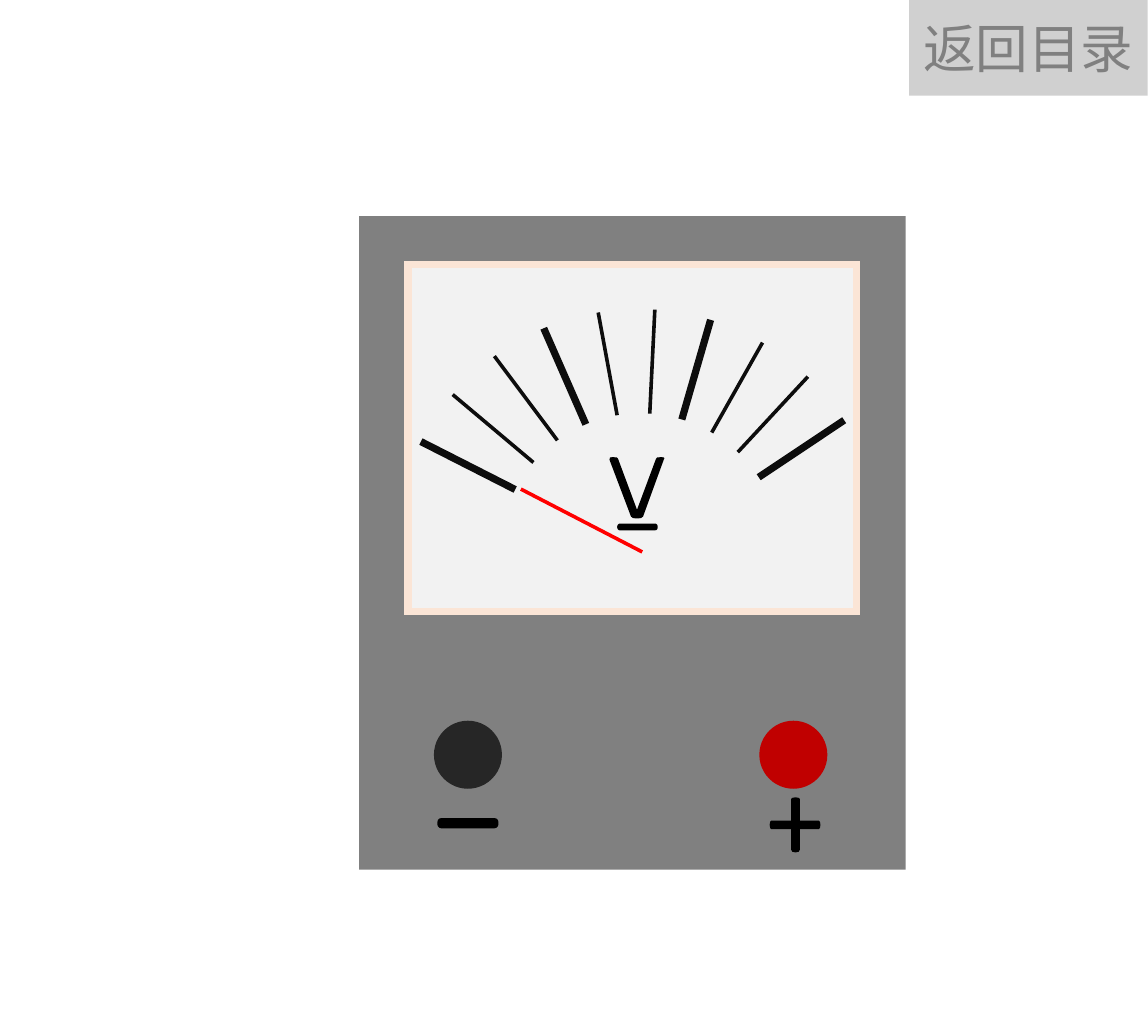
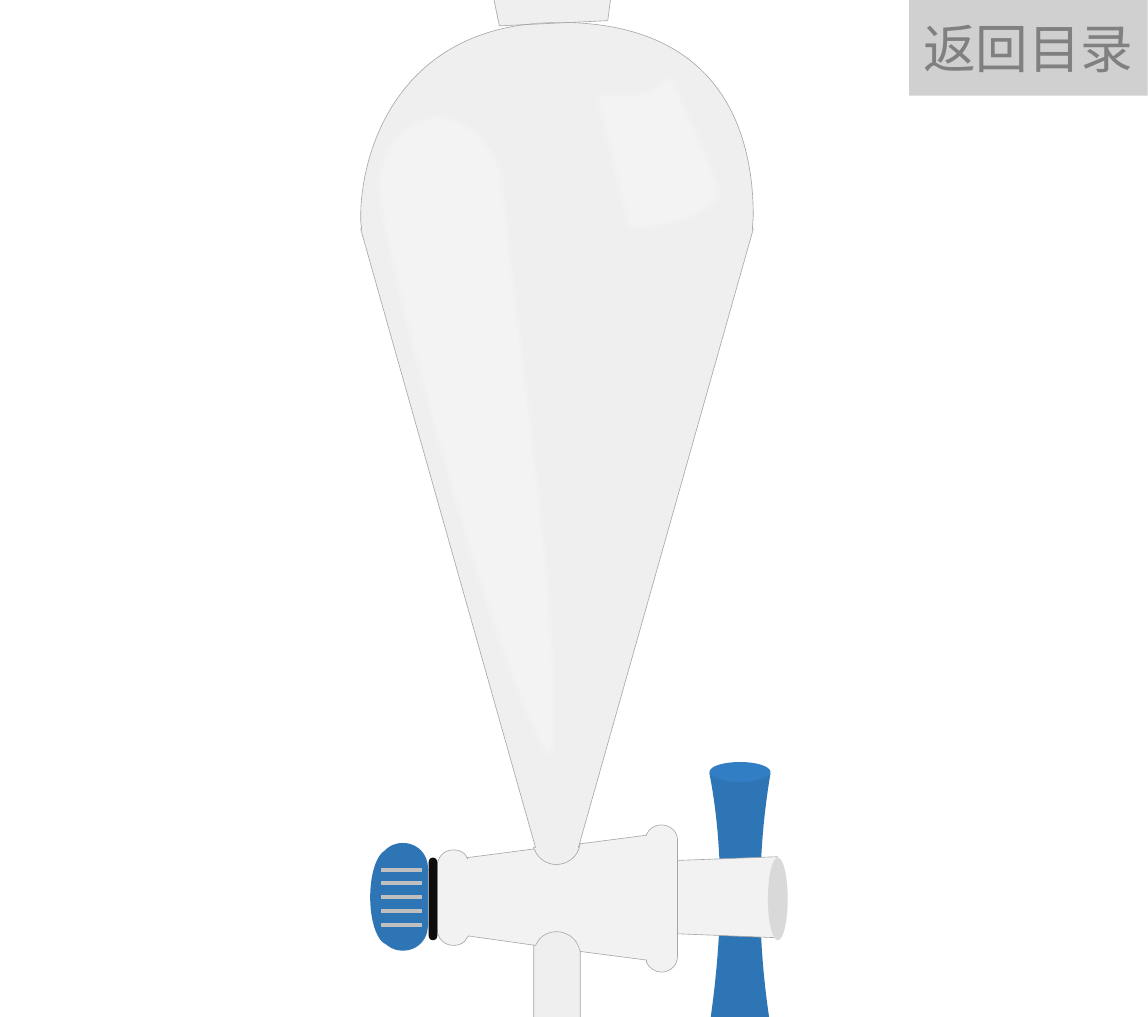
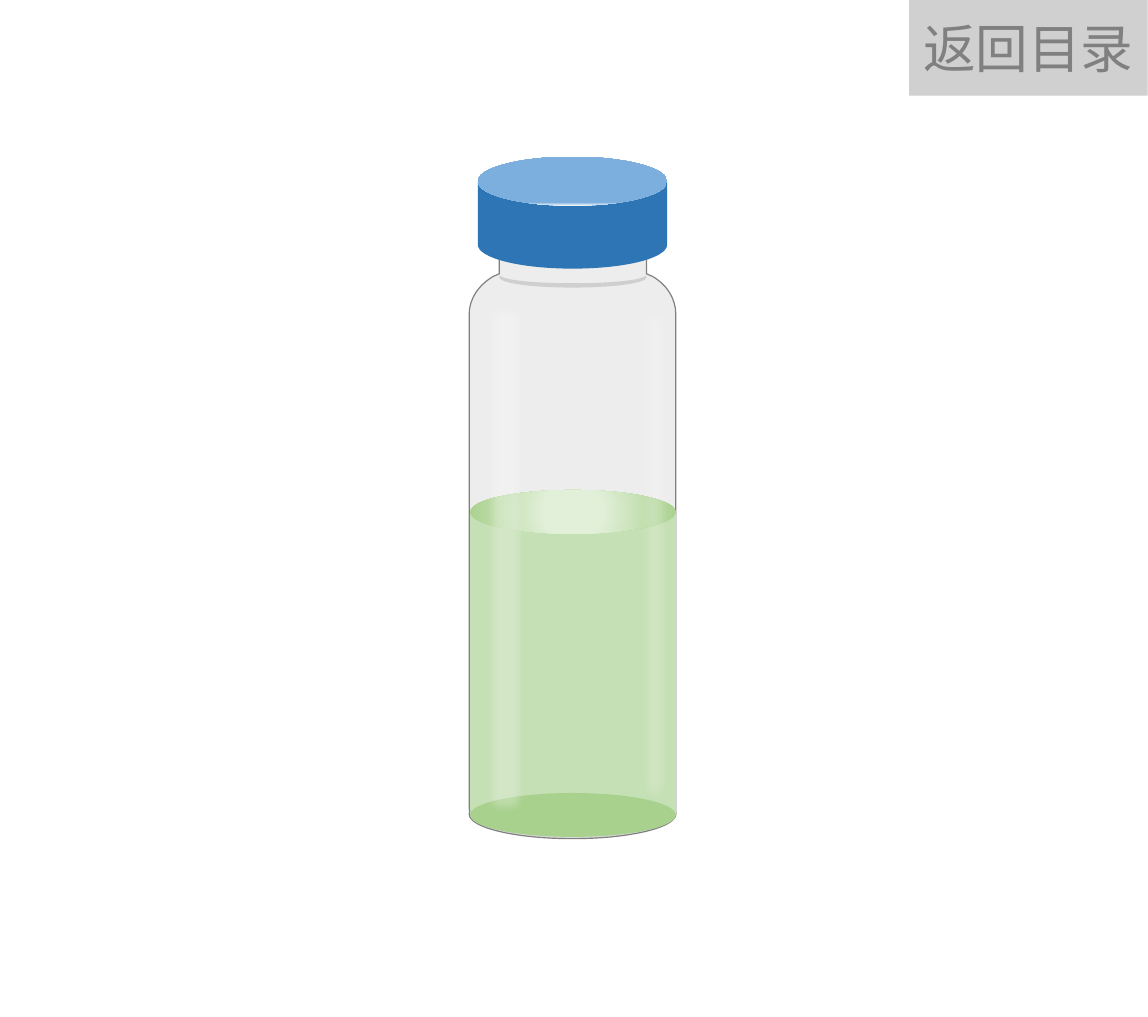
from dataclasses import dataclass
from math import cos, radians, sin
from typing import Iterator, Optional

from lxml import etree
from pptx import Presentation
from pptx import util as u
from pptx.dml.color import RGBColor
from pptx.enum import shapes, text
from pptx.oxml.ns import qn

UNIT_CM = 2.54  # one drawing unit

WHITE, BLACK, INK = "FFFFFF", "000000", "0D0D0D"
GLASS, EDGE, JOINT = "D9D9D9", "A6A6A6", "F2F2F2"
GREY, SILVER = "808080", "BFBFBF"
BLUE, RED = "2E75B6", "FF0000"

RECT = shapes.MSO_SHAPE.RECTANGLE
ROUND = shapes.MSO_SHAPE.ROUNDED_RECTANGLE
OVAL = shapes.MSO_SHAPE.OVAL

Point = tuple[int, int]


@dataclass(frozen=True)
class Style:
    fill: str
    opacity: int = 100
    line: Optional[str] = None
    width: float = 0.5
    soft_edge: float = 0  # points


@dataclass(frozen=True)
class Preset:
    kind: shapes.MSO_SHAPE
    left: float
    top: float
    width: float
    height: float
    style: Style
    corner: Optional[float] = None


@dataclass(frozen=True)
class Outline:
    """A closed outline: M and L take one point, C takes three."""
    commands: str
    style: Style


@dataclass(frozen=True)
class Stroke:
    start: tuple[float, float]
    end: tuple[float, float]
    color: str
    width: float


def length(value: float) -> u.Length:
    return u.Cm(value * UNIT_CM)


def rgb(color: str) -> RGBColor:
    return RGBColor.from_string(color)


# Formatting shared by every shape
def apply_style(shape, style: Style) -> None:
    shape.shadow.inherit = False
    shape.fill.solid()
    shape.fill.fore_color.rgb = rgb(style.fill)
    properties = shape.element.spPr
    if style.opacity < 100:
        color = properties.find(qn("a:solidFill"))[0]
        etree.SubElement(color, qn("a:alpha"), val=str(style.opacity * 1000))
    if style.line:
        shape.line.color.rgb = rgb(style.line)
        shape.line.width = u.Pt(style.width)
        etree.SubElement(properties.find(qn("a:ln")), qn("a:miter"), lim="800000")
    else:
        shape.line.fill.background()
    if style.soft_edge:
        effects = properties.find(qn("a:effectLst"))
        etree.SubElement(effects, qn("a:softEdge"), rad=str(u.Pt(style.soft_edge)))


def apply_gradient(shape, stops: list[tuple[float, str]], circular: bool = False) -> None:
    shape.fill.gradient()
    shape.fill.gradient_angle = 90
    for stop, (position, color) in zip(shape.fill.gradient_stops, stops):
        stop.position = position
        stop.color.rgb = rgb(color)
    if circular:
        gradient = shape.element.spPr.find(qn("a:gradFill"))
        linear = gradient.find(qn("a:lin"))
        circle = etree.Element(qn("a:path"), path="circle")
        etree.SubElement(circle, qn("a:fillToRect"),
                         {side: "50000" for side in "ltrb"})
        gradient.replace(linear, circle)


# Outlines with curves
def read_commands(commands: str) -> Iterator[tuple[str, list[Point]]]:
    tokens = iter(commands.split())
    for command in tokens:
        count = 3 if command == "C" else 1
        yield command, [(length(float(next(tokens))), length(float(next(tokens))))
                        for _ in range(count)]


def sample_points(segments: list[tuple[str, list[Point]]], steps: int = 16) -> list[Point]:
    """Points along the outline, from which its bounds follow."""
    points: list[Point] = []
    for command, target in segments:
        if command != "C":
            points += target
            continue
        controls = [points[-1], *target]
        for step in range(1, steps + 1):
            t = step / steps
            weights = ((1 - t) ** 3, 3 * t * (1 - t) ** 2, 3 * t * t * (1 - t), t ** 3)
            x, y = (round(sum(w * p[axis] for w, p in zip(weights, controls)))
                    for axis in (0, 1))
            points.append((x, y))
    return points


def add_outline(slide, part: Outline):
    segments = list(read_commands(part.commands))
    first, *rest = sample_points(segments)
    builder = slide.shapes.build_freeform(*first)
    builder.add_line_segments(rest, close=True)
    shape = builder.convert_to_shape()
    # Keep the bounds and write the segments as true lines and curves
    tags = {"M": "a:moveTo", "L": "a:lnTo", "C": "a:cubicBezTo"}
    contour = next(shape.element.spPr.iter(qn("a:path")))
    for child in list(contour):
        contour.remove(child)
    for command, target in segments:
        segment = etree.SubElement(contour, qn(tags[command]))
        for x, y in target:
            etree.SubElement(segment, qn("a:pt"),
                             x=str(x - shape.left), y=str(y - shape.top))
    etree.SubElement(contour, qn("a:close"))
    apply_style(shape, part.style)
    return shape


# Drawing functions
def add_preset(slide, part: Preset):
    box = (part.left, part.top, part.width, part.height)
    shape = slide.shapes.add_shape(part.kind, *map(length, box))
    if part.corner is not None:
        shape.adjustments[0] = part.corner
    apply_style(shape, part.style)
    return shape


def add_stroke(slide, part: Stroke):
    connector = slide.shapes.add_connector(
        shapes.MSO_CONNECTOR.STRAIGHT, *map(length, (*part.start, *part.end)))
    connector.line.color.rgb = rgb(part.color)
    connector.line.width = u.Pt(part.width)
    etree.SubElement(connector.element.spPr, qn("a:effectLst"))
    return connector


DRAW = {Preset: add_preset, Outline: add_outline, Stroke: add_stroke}


def draw(slide, *parts) -> list:
    return [DRAW[type(part)](slide, part) for part in parts]


def add_contents_button(slide) -> None:
    button = add_preset(slide, Preset(RECT, 10.56, 0, 2.77, 1.11, Style(SILVER, 73)))
    frame = button.text_frame
    frame.vertical_anchor = text.MSO_ANCHOR.MIDDLE
    paragraph = frame.paragraphs[0]
    paragraph.text = "返回目录"
    paragraph.alignment = text.PP_ALIGN.CENTER
    paragraph.font.name = "Calibri"
    paragraph.font.size = u.Pt(44)
    paragraph.font.color.rgb = rgb(GREY)


# Slide 1: voltmeter
def dial_ticks() -> list[Stroke]:
    center_y, first_angle, step, count = 6.44, 27.4, 13.27, 10

    def at(center_x: float, radius: float, angle: float) -> tuple[float, float]:
        return (center_x - radius * cos(angle), center_y - radius * sin(angle))

    ticks = []
    for index in range(count):
        angle = radians(first_angle + index * step)
        width = 6 if index % 3 == 0 else 3
        ticks.append(Stroke(at(7.42, 2.85, angle), at(7.44, 1.64, angle), INK, width))
    return ticks


def draw_voltmeter(slide) -> None:
    sign = Style(BLACK)
    draw(
        slide,
        # Case and dial
        Preset(RECT, 4.17, 2.51, 6.35, 7.59, Style(GREY)),
        Preset(RECT, 4.74, 3.07, 5.21, 4.03, Style(JOINT, line="FBE5D6", width=6)),
        *dial_ticks(),
        Stroke((6.05, 5.68), (7.46, 6.41), RED, 3),
        # Underlined V
        Outline("M 7.13 5.31 C 7.16 5.31 7.18 5.31 7.18 5.33 L 7.4 5.92 L 7.62 5.33 "
                "C 7.62 5.31 7.64 5.31 7.67 5.31 C 7.71 5.31 7.73 5.31 7.71 5.34 "
                "L 7.47 6 C 7.46 6.02 7.44 6.02 7.4 6.02 C 7.36 6.02 7.34 6.02 7.33 6 "
                "L 7.08 5.34 C 7.07 5.31 7.09 5.31 7.13 5.31", sign),
        Preset(ROUND, 7.17, 6.08, 0.47, 0.08, sign, 0.4),
        # Terminals with plus and minus
        Preset(OVAL, 5.04, 8.37, 0.79, 0.79, Style("262626")),
        Preset(OVAL, 8.82, 8.37, 0.79, 0.79, Style("C00000")),
        Outline("M 9.24 9.26 C 9.27 9.26 9.29 9.27 9.29 9.28 L 9.29 9.53 L 9.51 9.53 "
                "C 9.52 9.53 9.53 9.55 9.53 9.58 C 9.53 9.61 9.52 9.63 9.51 9.63 "
                "L 9.29 9.63 L 9.29 9.87 C 9.29 9.89 9.27 9.9 9.24 9.9 "
                "C 9.21 9.9 9.19 9.89 9.19 9.87 L 9.19 9.63 L 8.96 9.63 "
                "C 8.95 9.63 8.94 9.61 8.94 9.58 C 8.94 9.55 8.95 9.53 8.96 9.53 "
                "L 9.19 9.53 L 9.19 9.28 C 9.19 9.27 9.21 9.26 9.24 9.26", sign),
        Preset(ROUND, 5.08, 9.5, 0.71, 0.12, sign, 0.4),
    )


# Slide 2: separating funnel
def draw_funnel(slide) -> None:
    joint = Style(JOINT, line=EDGE)
    draw(
        slide,
        # Glass body and neck
        Preset(OVAL, 4.3, 9.87, 0.42, 1.1, Style(BLUE)),
        Outline("M 6.47 0.26 C 8.35 0.25 8.75 1.5 8.75 2.51 L 8.74 2.66 L 8.75 2.66 "
                "L 6.72 9.84 L 6.74 9.84 L 6.74 15.55 L 6.2 15.55 L 6.2 9.84 L 6.22 9.84 "
                "L 4.19 2.66 L 4.2 2.66 L 4.2 2.64 C 4.19 2.6 4.19 2.55 4.19 2.51 "
                "C 4.19 1.81 4.59 0.28 6.47 0.26", Style(GLASS, 40, EDGE)),
        Outline("M 5.35 -1.91 L 7.35 -1.98 L 7.06 0.24 L 5.8 0.3", Style(GLASS, 42, EDGE)),
        # Handle, plug and joint
        Outline("M 8.24 8.98 L 8.95 8.98 C 8.78 9.98 8.8 10.98 8.95 11.92 L 8.24 11.92 "
                "C 8.38 10.98 8.43 9.96 8.24 8.98", Style(BLUE)),
        Outline("M 9.03 9.95 L 9.01 10.89 L 4.46 10.71 L 4.46 10.12", joint),
        Outline("M 7.68 9.58 C 7.79 9.58 7.87 9.66 7.87 9.76 L 7.87 11.1 "
                "C 7.87 11.21 7.79 11.29 7.68 11.29 C 7.61 11.29 7.54 11.24 7.51 11.18 "
                "L 7.51 11.15 L 6.74 11.05 L 6.72 10.99 C 6.68 10.89 6.58 10.82 6.46 10.82 "
                "C 6.39 10.82 6.32 10.85 6.27 10.9 L 6.22 10.98 L 5.44 10.87 L 5.4 10.93 "
                "C 5.37 10.96 5.32 10.98 5.27 10.98 C 5.16 10.98 5.08 10.9 5.08 10.79 "
                "L 5.08 10.06 C 5.08 9.95 5.16 9.87 5.27 9.87 C 5.32 9.87 5.37 9.89 5.4 9.92 "
                "L 5.43 9.97 L 5.43 9.96 L 6.2 9.86 L 6.21 9.87 "
                "C 6.25 9.97 6.35 10.04 6.46 10.04 C 6.58 10.04 6.68 9.97 6.72 9.87 "
                "L 6.74 9.8 L 7.51 9.7 L 7.51 9.69 C 7.54 9.62 7.61 9.58 7.68 9.58", joint),
        # Ring and ribbed knob
        Preset(ROUND, 4.98, 9.96, 0.1, 0.96, Style(INK), 0.5),
        Preset(ROUND, 4.39, 9.79, 0.58, 1.25, Style(BLUE), 0.49),
        *[Stroke((4.43, y), (4.9, y), SILVER, 3.25)
          for y in (10.1 + 0.16 * rib for rib in range(5))],
        # End faces
        Preset(OVAL, 8.92, 9.96, 0.23, 0.96, Style(GLASS)),
        Preset(OVAL, 8.24, 8.85, 0.71, 0.23, Style("327EC4")),
        # Reflections
        Outline("M 4.35 2.28 C 4.45 3.38 6.43 10.46 6.48 8.56 "
                "C 6.53 6.66 6.08 4.15 5.88 1.95 C 5.52 0.91 4.25 1.18 4.35 2.28",
                Style(WHITE, 30, soft_edge=5)),
        Outline("M 6.83 1 C 7.26 1.08 7.61 1.08 7.79 0.66 C 8.01 1.21 8.3 1.73 8.46 2.3 "
                "C 8.26 2.6 7.7 2.74 7.24 2.69", Style(WHITE, 31, soft_edge=5)),
    )


# Slide 3: sample vial
def draw_vial(slide) -> None:
    liquid = Style("A9D18E")
    # Glass and cap
    _, _, cap_top = draw(
        slide,
        Outline("M 5.8 2.55 L 7.51 2.55 L 7.51 3.18 L 7.58 3.21 "
                "C 7.75 3.31 7.85 3.47 7.85 3.65 L 7.85 9.38 L 7.85 9.46 L 5.46 9.46 "
                "L 5.45 9.38 L 5.45 3.65 C 5.45 3.47 5.56 3.31 5.73 3.21 L 5.8 3.18",
                Style(GLASS, 45, GREY, 1)),
        Outline("M 5.55 2.11 L 7.75 2.11 L 7.75 2.84 C 7.75 3 7.26 3.12 6.65 3.12 "
                "C 6.05 3.12 5.55 3 5.55 2.84", Style(BLUE)),
        Preset(OVAL, 5.55, 1.82, 2.2, 0.57, Style(BLUE)),
    )
    apply_gradient(cap_top, [(0, "F6F8FC"), (0.07, "7CAFDE")])
    # Neck shadow, base and liquid
    *_, surface = draw(
        slide,
        Outline("M 5.81 3.2 L 5.82 3.21 C 5.9 3.26 6.24 3.29 6.65 3.29 "
                "C 7.07 3.29 7.41 3.26 7.49 3.21 L 7.5 3.2 L 7.51 3.22 "
                "C 7.51 3.29 7.12 3.34 6.65 3.34 C 6.18 3.34 5.8 3.29 5.8 3.22",
                Style("595959", 20)),
        Preset(OVAL, 5.45, 9.17, 2.4, 0.57, Style(GLASS, line=GREY, width=1)),
        Outline("M 5.46 5.94 L 7.85 5.94 L 7.85 9.39 L 7.85 9.47 L 5.47 9.47 L 5.46 9.39",
                Style("C5E0B4")),
        Preset(OVAL, 5.46, 9.21, 2.39, 0.51, liquid),
        Preset(OVAL, 5.46, 5.69, 2.39, 0.51, liquid),
    )
    apply_gradient(surface, [(0.27, "E2F0D9"), (1, "A9D18E")], circular=True)
    # Reflections
    draw(
        slide,
        Preset(RECT, 5.59, 3.48, 0.56, 6.02, Style(WHITE, 25, soft_edge=7.5)),
        Preset(RECT, 7.32, 3.43, 0.56, 6.02, Style(WHITE, 25, soft_edge=12)),
    )


def main() -> None:
    presentation = Presentation()
    presentation.slide_width, presentation.slide_height = u.Cm(33.87), u.Cm(30)
    blank = presentation.slide_layouts[6]
    for draw_apparatus in (draw_voltmeter, draw_funnel, draw_vial):
        slide = presentation.slides.add_slide(blank)
        draw_apparatus(slide)
        add_contents_button(slide)
    presentation.save("out.pptx")


if __name__ == "__main__":
    main()
